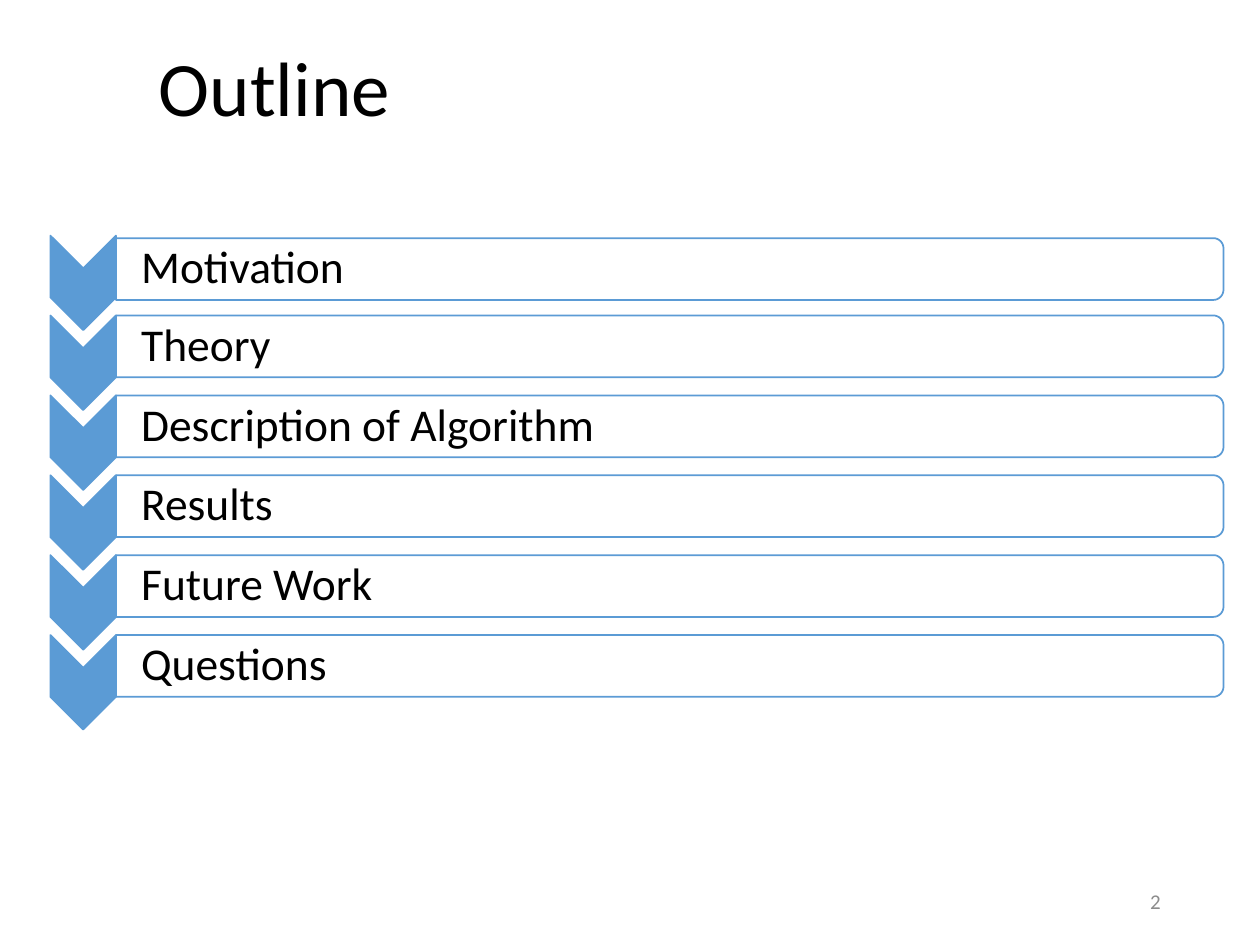
from math import cos, pi, sin

from pptx import Presentation
from pptx.dml.color import RGBColor
from pptx.enum.shapes import MSO_SHAPE
from pptx.enum.text import MSO_ANCHOR, PP_ALIGN
from pptx.util import Inches, Pt

CHEVRON = MSO_SHAPE.CHEVRON
MIDDLE = MSO_ANCHOR.MIDDLE
LEFT, RIGHT = PP_ALIGN.LEFT, PP_ALIGN.RIGHT

COLORS = {"blue": "5B9BD5", "white": "FFFFFF", "black": "000000", "gray": "8C8C8C"}
TOPICS = ["Motivation", "Theory", "Description of Algorithm",
          "Results", "Future Work", "Questions"]

# Grid of the list, in inches: an arrow column, a bar column, equal rows
TOP, PITCH = 1.87, 0.634
ARROW_X, BAR_X, BAR_END = 0.4, 0.92, 9.71
ARROW_W, ARROW_H = BAR_X - ARROW_X, 0.75
BAR_H, RADIUS = 0.49, 0.08
FIRST_DROP = 0.02


def color(name):
    return RGBColor.from_string(COLORS[name])


def paint(shape, fill):
    shape.shadow.inherit = False
    shape.fill.solid()
    shape.fill.fore_color.rgb = color(fill)
    shape.line.color.rgb = color("blue")
    shape.line.width = Pt(1)


def write(shape, text, size, tint="black", align=LEFT, spacing=0.9):
    frame = shape.text_frame
    frame.word_wrap = True
    frame.vertical_anchor = MIDDLE
    frame.text = text
    para = frame.paragraphs[0]
    para.alignment = align
    para.line_spacing = spacing
    para.font.size = Pt(size)
    para.font.name = "Calibri"
    para.font.color.rgb = color(tint)


def add_arrow(slide, top):
    """Chevron turned a quarter, so that it points down."""
    left = ARROW_X + (ARROW_W - ARROW_H) / 2
    y = top + (ARROW_H - ARROW_W) / 2
    arrow = slide.shapes.add_shape(
        CHEVRON, Inches(left), Inches(y), Inches(ARROW_H), Inches(ARROW_W))
    arrow.rotation = 90
    arrow.adjustments[0] = 0.5
    paint(arrow, "blue")


def add_bar(slide, top, text):
    """Bar with rounded corners on its right side only."""
    def corner(y, start):
        angles = [start + step * pi / 16 for step in range(9)]
        return [(BAR_END - RADIUS + RADIUS * cos(a), y + RADIUS * sin(a))
                for a in angles]

    end = top + BAR_H
    points = (corner(top + RADIUS, -pi / 2) + corner(end - RADIUS, 0)
              + [(BAR_X, end)])
    pen = slide.shapes.build_freeform(Inches(BAR_X), Inches(top))
    pen.add_line_segments([(Inches(x), Inches(y)) for x, y in points])
    bar = pen.convert_to_shape()
    paint(bar, "white")
    write(bar, text, 26)
    frame = bar.text_frame
    frame.margin_left = Inches(0.2)
    frame.margin_top = frame.margin_right = frame.margin_bottom = Inches(0.04)


def add_title(slide, text):
    title = slide.shapes.title
    title.left, title.top = Inches(1.16), Inches(0)
    title.width, title.height = Inches(11.5), Inches(1.45)
    write(title, text, 44)


def add_number(slide, text):
    box = slide.shapes.add_textbox(
        Inches(7.06), Inches(6.95), Inches(2.25), Inches(0.4))
    write(box, text, 12, "gray", RIGHT, 1.0)


def main():
    deck = Presentation()
    deck.slide_width, deck.slide_height = Inches(10), Inches(7.5)
    slide = deck.slides.add_slide(deck.slide_layouts[5])
    add_title(slide, "Outline")
    for row, topic in enumerate(TOPICS):
        top = TOP + row * PITCH
        add_arrow(slide, top)
        add_bar(slide, top if row else top + FIRST_DROP, topic)
    add_number(slide, "2")
    deck.save("out.pptx")


if __name__ == "__main__":
    main()
